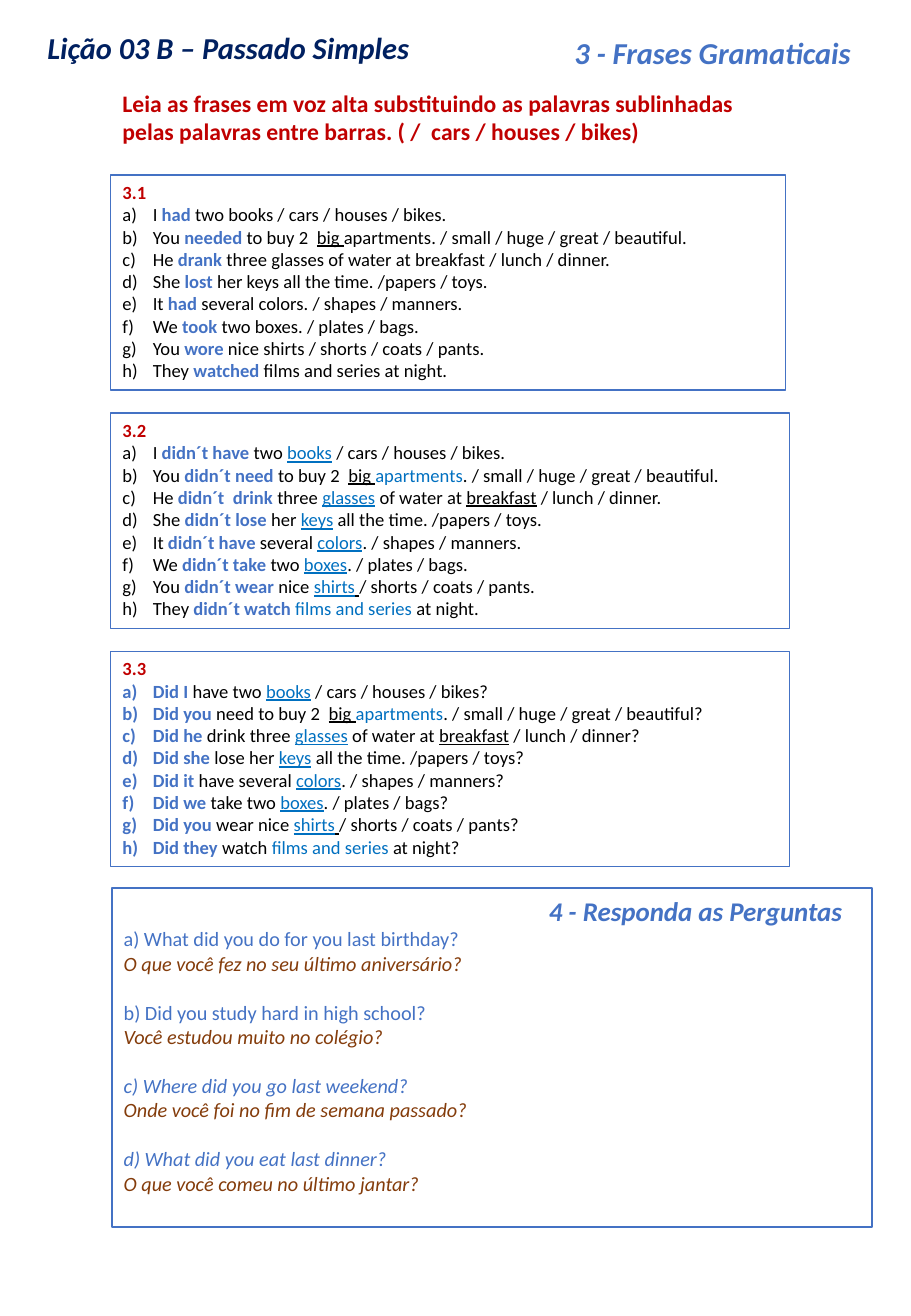
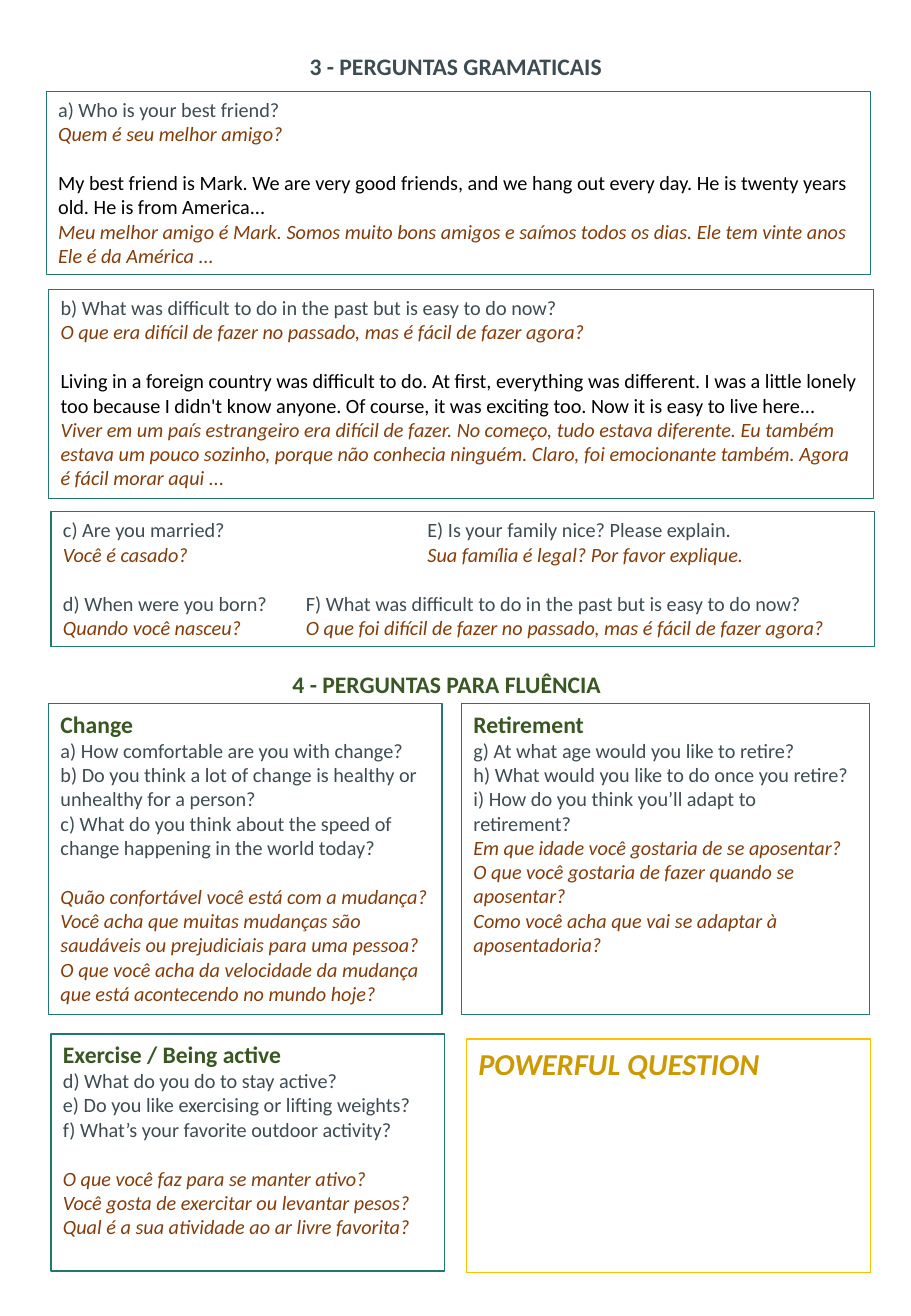
from lxml.etree import SubElement
from pptx import Presentation
from pptx.dml.color import RGBColor
from pptx.enum.shapes import MSO_SHAPE as Shape
from pptx.enum.text import MSO_ANCHOR as Anchor, PP_ALIGN as Align
from pptx.oxml.ns import qn
from pptx.util import Inches, Pt

COLORS = {
    "navy": "002060", "blue": "4472C4", "link": "0070C0", "red": "C00000",
    "brown": "843C0B", "teal": "1F7872", "slate": "3D4C53", "green": "385723",
    "amber": "FFC000", "gold": "CC9900", "black": "000000", "white": "FFFFFF",
}
FONT = "Calibri"
BLANK_LINE = Pt(14.65)

# A span that opens with one of these marks takes its colour, bold and underline.
MARKS = {
    "*": ("blue", True, False),
    "_": ("black", False, True),
    "~": ("link", False, True),
    "^": ("link", False, False),
}

deck = Presentation()
deck.slide_width, deck.slide_height = Inches(7.5), Inches(10.83)
COL, ROW = deck.slide_width / 75, deck.slide_height / 108.3


def add_frame(page, left, top, width, height, line=None, weight=0.75, fill=None, wrap=True):
    """Add a box placed in grid columns and rows; return its text frame."""
    place = [round(left * COL), round(top * ROW), round(width * COL), round(height * ROW)]
    if line:
        box = page.shapes.add_shape(Shape.RECTANGLE, *place)
        box.shadow.inherit = False
        box.line.color.rgb = RGBColor.from_string(COLORS[line])
        box.line.width = Pt(weight)
        if fill:
            box.fill.solid()
            box.fill.fore_color.rgb = RGBColor.from_string(COLORS[fill])
        else:
            box.fill.background()
    else:
        box = page.shapes.add_textbox(*place)
    frame = box.text_frame
    frame.word_wrap = wrap
    frame.vertical_anchor = Anchor.TOP
    return frame


def write(frame, text, size=12, color="black", bold=False, italic=False, gap=False,
          align=Align.LEFT, spacing=None, indent=0, numbered=False, tab=None):
    """Add a paragraph whose spans are parted by | and may open with a mark."""
    para = frame.add_paragraph() if frame.text else frame.paragraphs[0]
    para.alignment = align
    if spacing:
        para.line_spacing = spacing
    if gap:
        para.space_before = BLANK_LINE
    props = para._p.get_or_add_pPr()
    if indent:
        props.set("marL", str(Inches(indent)))
    if numbered:
        props.set("indent", str(-Inches(indent)))
        SubElement(props, qn("a:buFont"), typeface="+mj-lt")
        SubElement(props, qn("a:buAutoNum"), type="alphaLcParenR")
    if tab:
        stops = SubElement(props, qn("a:tabLst"))
        SubElement(stops, qn("a:tab"), pos=str(Inches(tab)), algn="l")
    for part in filter(None, text.split("|")):
        marked = part[0] in MARKS
        span_color, span_bold, underline = MARKS[part[0]] if marked else (color, bold, False)
        span = para.add_run()
        span.text = part[1:] if marked else part
        font = span.font
        font.name, font.size = FONT, Pt(size)
        font.bold, font.italic, font.underline = span_bold, italic, underline
        font.color.rgb = RGBColor.from_string(COLORS[span_color])


# Slide 1: drills and questions
page = deck.slides.add_slide(deck.slide_layouts[6])
write(add_frame(page, 2.7, 1.7, 32.2, 4.1, wrap=False), "Lição 03 B – Passado Simples",
      size=18, color="navy", bold=True, italic=True, align=Align.CENTER, spacing=1.07)

drills = [
    ("3.1", 55.6, [
        "I |*had| two books / cars / houses / bikes.",
        "You |*needed| to buy 2  |_big |apartments. / small / huge / great / beautiful.",
        "He |*drank| three glasses of water at breakfast / lunch / dinner.",
        "She |*lost| her keys all the time. /papers / toys.",
        "It |*had| several colors. / shapes / manners.",
        "We |*took| two boxes. / plates / bags.",
        "You |*wore| nice shirts / shorts / coats / pants.",
        "They |*watched| films and series at night.",
    ]),
    ("3.2", 55.9, [
        "I |*didn´t have| two |~books| / cars / houses / bikes.",
        "You |*didn´t need |to buy 2  |_big |^apartments|. / small / huge / great / beautiful.",
        "He |*didn´t  drink| three |~glasses| of water at |_breakfast| / lunch / dinner.",
        "She |*didn´t lose |her |~keys| all the time. /papers / toys.",
        "It |*didn´t have| several |~colors|. / shapes / manners.",
        "We |*didn´t take| two |~boxes|. / plates / bags.",
        "You |*didn´t wear| nice |~shirts|_ |/ shorts / coats / pants.",
        "They |*didn´t watch |^films and series| at night.",
    ]),
    ("3.3", 55.9, [
        "*Did I| have two |~books| / cars / houses / bikes?",
        "*Did you| need to buy 2  |_big |^apartments|. / small / huge / great / beautiful?",
        "*Did he |drink three |~glasses| of water at |_breakfast| / lunch / dinner?",
        "*Did she| lose her |~keys| all the time. /papers / toys?",
        "*Did it| have several |~colors|. / shapes / manners?",
        "*Did we| take two |~boxes|. / plates / bags?",
        "*Did you| wear nice |~shirts|_ |/ shorts / coats / pants?",
        "*Did they| watch |^films and series| at night?",
    ]),
]
for index, (number, width, sentences) in enumerate(drills):
    frame = add_frame(page, 9.1, 14.4 + 19.6 * index, width, 17.7, line="blue")
    write(frame, number, size=11, color="red", bold=True)
    for sentence in sentences:
        write(frame, sentence, size=11, indent=0.25, numbered=True)

write(add_frame(page, 46.3, 2.3, 26, 4), "3 - Frases Gramaticais",
      size=18, color="blue", bold=True, italic=True)

frame = add_frame(page, 9.2, 73.1, 62.6, 27.9, line="blue", weight=1, fill="white")
write(frame, "4 - Responda as Perguntas", size=16, color="blue", bold=True, italic=True, indent=3.5)
questions = [
    ("a) What did you do for you last birthday?", "O que você fez no seu último aniversário?", False),
    ("b) Did you study hard in high school?", "Você estudou muito no colégio?", False),
    ("c) Where did you go last weekend?", "Onde você foi no fim de semana passado?", True),
    ("d) What did you eat last dinner?", "O que você comeu no último jantar?", True),
]
for index, (question, translation, italic) in enumerate(questions):
    write(frame, question, color="blue", italic=italic, gap=index > 0)
    write(frame, translation, color="brown", italic=True)

frame = add_frame(page, 9.1, 6.8, 64, 5.7)
for text in ("Leia as frases em voz alta substituindo as palavras sublinhadas",
             "pelas palavras entre barras. ( /  cars / houses / bikes)"):
    write(frame, text, size=14, color="red", bold=True)

# Slide 2: grammar and fluency questions
page = deck.slides.add_slide(deck.slide_layouts[6])
for left, top, width, text, color in (
    (24.5, 3.8, 26.3, "3 - PERGUNTAS GRAMATICAIS", "slate"),
    (23.1, 54.6, 27.6, "4 - PERGUNTAS PARA FLUÊNCIA", "green"),
):
    write(add_frame(page, left, top, width, 3.4, wrap=False), text, size=14, color=color, bold=True)

examples = [
    ((3.8, 7.5, 67.9, 15.1),
     "a) Who is your best friend?",
     "Quem é seu melhor amigo?",
     "My best friend is Mark. We are very good friends, and we hang out every day. "
     "He is twenty years old. He is from America...",
     "Meu melhor amigo é Mark. Somos muito bons amigos e saímos todos os dias. "
     "Ele tem vinte anos Ele é da América ..."),
    ((4, 23.8, 67.9, 17.2),
     "b) What was difficult to do in the past but is easy to do now?",
     "O que era difícil de fazer no passado, mas é fácil de fazer agora?",
     "Living in a foreign country was difficult to do. At first, everything was different. "
     "I was a little lonely too because I didn't know anyone. Of course, it was exciting too. "
     "Now it is easy to live here...",
     "Viver em um país estrangeiro era difícil de fazer. No começo, tudo estava diferente. "
     "Eu também estava um pouco sozinho, porque não conhecia ninguém. Claro, foi emocionante "
     "também. Agora é fácil morar aqui ..."),
]
for place, question, translation, answer, answer_translation in examples:
    frame = add_frame(page, *place, line="teal")
    write(frame, question, color="slate")
    write(frame, translation, color="brown", italic=True)
    write(frame, answer, gap=True)
    write(frame, answer_translation, color="brown", italic=True)

frame = add_frame(page, 4.2, 42.1, 67.8, 11.1, line="teal")
pairs = [
    (3, "c) Are you married?\tE) Is your family nice? Please explain.",
     "Você é casado?\tSua família é legal? Por favor explique."),
    (2, "d) When were you born?\tF) What was difficult to do in the past but is easy to do now?",
     "Quando você nasceu?\tO que foi difícil de fazer no passado, mas é fácil de fazer agora?"),
]
for index, (tab, question, translation) in enumerate(pairs):
    write(frame, question, color="slate", tab=tab, gap=index > 0)
    write(frame, translation, color="brown", italic=True, tab=tab)

topics = [
    ((4, 57.9, 32.4, 25.6), "Change", True,
     ["a) How comfortable are you with change?",
      "b) Do you think a lot of change is healthy or unhealthy for a person?",
      "c) What do you think about the speed of change happening in the world today?"],
     ["Quão confortável você está com a mudança?",
      "Você acha que muitas mudanças são saudáveis ou prejudiciais para uma pessoa?",
      "O que você acha da velocidade da mudança que está acontecendo no mundo hoje?"]),
    ((38, 57.9, 33.6, 25.6), "Retirement", False,
     ["g) At what age would you like to retire?",
      "h) What would you like to do once you retire?",
      "i) How do you think you’ll adapt to retirement?"],
     ["Em que idade você gostaria de se aposentar?",
      "O que você gostaria de fazer quando se aposentar?",
      "Como você acha que vai se adaptar à aposentadoria?"]),
    ((4.2, 85.1, 32.4, 19.5), "Exercise / Being active", True,
     ["d) What do you do to stay active?",
      "e) Do you like exercising or lifting weights?",
      "f) What’s your favorite outdoor activity?"],
     ["O que você faz para se manter ativo?",
      "Você gosta de exercitar ou levantar pesos?",
      "Qual é a sua atividade ao ar livre favorita?"]),
]
for place, topic, parted, topic_questions, translations in topics:
    frame = add_frame(page, *place, line="teal")
    write(frame, topic, size=14, color="green", bold=True)
    for question in topic_questions:
        write(frame, question, color="slate")
    for index, translation in enumerate(translations):
        write(frame, translation, color="brown", italic=True, gap=parted and index == 0)

write(add_frame(page, 38.4, 85.5, 33.3, 19.2, line="amber"), "POWERFUL QUESTION",
      size=18, color="gold", bold=True, italic=True)

deck.save("out.pptx")
